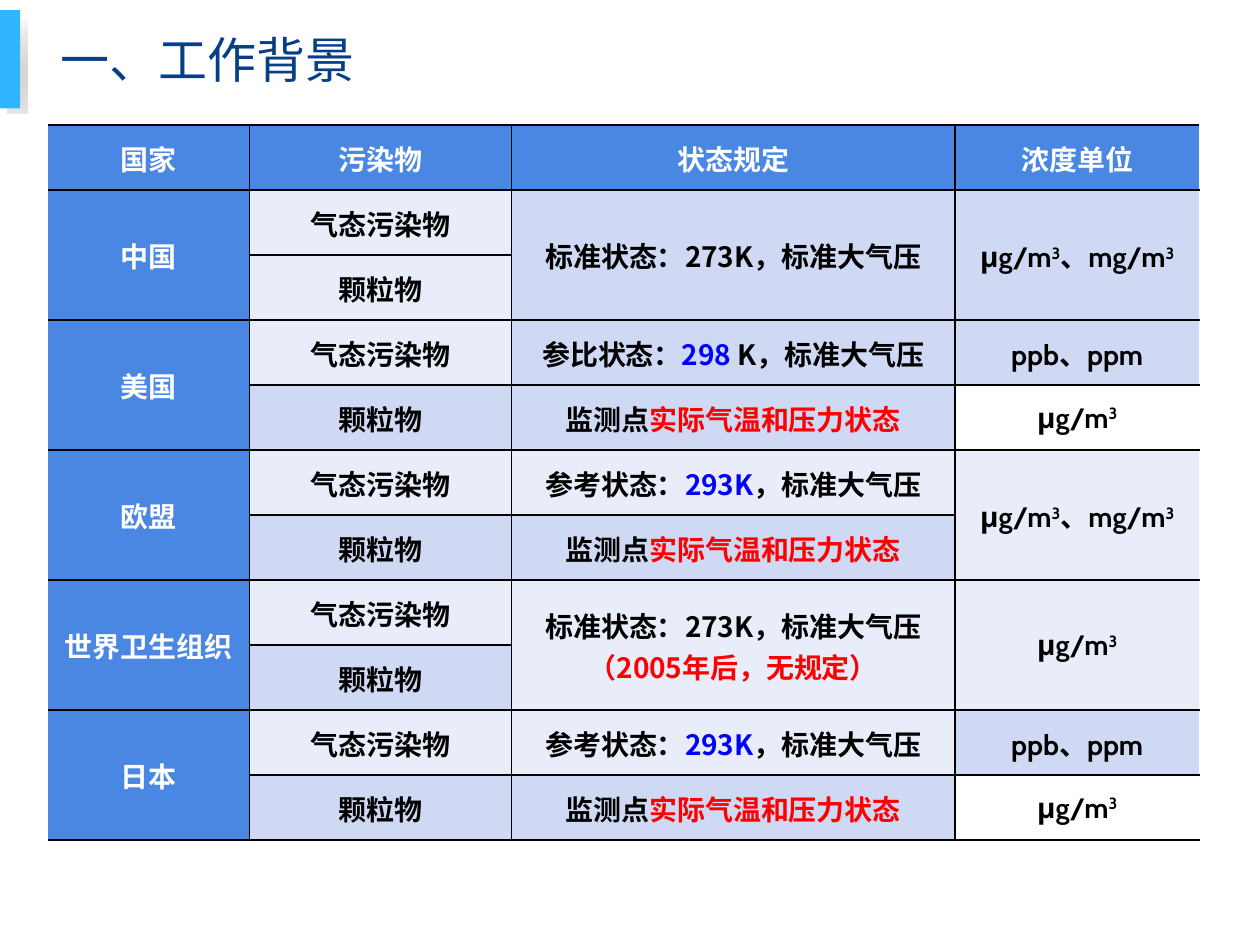
from lxml import etree
from pptx import Presentation
from pptx import util as u
from pptx.dml.color import RGBColor
from pptx.enum import shapes, text
from pptx.oxml.ns import qn

SANS, UNIT = "Noto Sans CJK SC", "Cabin"
HEADER, PALE, DEEP = "4987E3", "E9EDFA", "CFD9F4"
BLACK, WHITE, BLUE, RED = "000000", "FFFFFF", "0000FF", "FF0000"
COLUMNS = (1.6, 2.08, 3.52, 1.94)
ROW_COUNT = 11

MICRO = [[("μg/m", BLACK), ("3", "super")]]
BOTH = [MICRO[0] + [("、mg/m", BLACK), ("3", "super")]]
PARTS = [[("ppb、ppm", BLACK)]]
STANDARD = [("标准状态：273K，标准大气压", BLACK)]
REFERENCE = [[("参考状态：", BLACK), ("293K", BLUE), ("，标准大气压", BLACK)]]
COMPARED = [[("参比状态：", BLACK), ("298 ", BLUE), ("K，标准大气压", BLACK)]]
ACTUAL = [[("监测点", BLACK), ("实际气温和压力状态", RED)]]
REVISED = [STANDARD, [("（2005年后，无规定）", RED)]]

HEADINGS = ("国家", "污染物", "状态规定", "浓度单位")
COUNTRIES = (
    ("中国", PALE, [([STANDARD], DEEP)], [(BOTH, DEEP)]),
    ("美国", DEEP, [(COMPARED, DEEP), (ACTUAL, DEEP)], [(PARTS, DEEP), (MICRO, None)]),
    ("欧盟", DEEP, [(REFERENCE, PALE), (ACTUAL, DEEP)], [(BOTH, PALE)]),
    ("世界卫生组织", DEEP, [(REVISED, PALE)], [(MICRO, PALE)]),
    ("日本", DEEP, [(REFERENCE, PALE), (ACTUAL, DEEP)], [(PARTS, DEEP), (MICRO, None)]),
)


def colour(value):
    return RGBColor.from_string(value)


def apply(target, values):
    for name, value in values.items():
        setattr(target, name, value)


def style_run(run, name, size, shade, bold):
    apply(run.font, {"name": name, "size": u.Pt(size), "bold": bold})
    run.font.color.rgb = colour(shade)
    etree.SubElement(run.font._element, qn("a:ea"), typeface=SANS)


def fill_cell(cell, paragraphs, shade, font):
    apply(cell, {"vertical_anchor": text.MSO_ANCHOR.MIDDLE, "margin_left": u.Inches(0.01),
                 "margin_right": u.Inches(0.01), "margin_top": u.Inches(0.01), "margin_bottom": 0})
    if shade:
        cell.fill.solid()
        cell.fill.fore_color.rgb = colour(shade)
    else:
        cell.fill.background()
    for index, pieces in enumerate(paragraphs):
        frame = cell.text_frame
        para = frame.add_paragraph() if index else frame.paragraphs[0]
        para.alignment = text.PP_ALIGN.CENTER
        for words, look in pieces:
            run = para.add_run()
            run.text = words
            raised = look == "super"
            style_run(run, font, 16, BLACK if raised else look, True)
            if raised:
                run.font._element.set("baseline", "30000")


def draw_borders(cell, edges):
    for index, (side, shade) in enumerate(edges.items()):
        line = etree.Element(qn(f"a:ln{side}"), w=str(u.Pt(1)))
        if shade:
            solid = etree.SubElement(line, qn("a:solidFill"))
            etree.SubElement(solid, qn("a:srgbClr"), val=shade)
        else:
            etree.SubElement(line, qn("a:noFill"))
        cell._tc.get_or_add_tcPr().insert(index, line)


def fill_pair(table, top, column, entries, font):
    if len(entries) == 1:
        table.cell(top, column).merge(table.cell(top + 1, column))
    for offset, (paragraphs, shade) in enumerate(entries):
        fill_cell(table.cell(top + offset, column), paragraphs, shade, font)


def build_table(page, left, top, width, height):
    frame = page.shapes.add_table(ROW_COUNT, len(COLUMNS), left, top, width, height)
    table = frame.table
    apply(table, {"first_row": False, "horz_banding": False})
    for column, share in zip(table.columns, COLUMNS):
        column.width = int(width * share / sum(COLUMNS))
    for row in table.rows:
        row.height = int(height / ROW_COUNT)

    for column, heading in enumerate(HEADINGS):
        fill_cell(table.cell(0, column), [[(heading, WHITE)]], HEADER, SANS)
    for index, (country, particle_shade, states, units) in enumerate(COUNTRIES):
        row = 1 + 2 * index
        pollutants = [([[("气态污染物", BLACK)]], PALE), ([[("颗粒物", BLACK)]], particle_shade)]
        fill_pair(table, row, 0, [([[(country, WHITE)]], HEADER)], SANS)
        fill_pair(table, row, 1, pollutants, SANS)
        fill_pair(table, row, 2, states, SANS)
        fill_pair(table, row, 3, units, UNIT)

    last = len(COLUMNS) - 1
    for row in range(ROW_COUNT):
        for column in range(len(COLUMNS)):
            draw_borders(table.cell(row, column), {
                "L": BLACK if column else None, "R": WHITE if column == last else BLACK,
                "T": BLACK, "B": BLACK})


def build_marker(page, left, top, width, height):
    offsets = (u.Inches(0.06), u.Inches(0.04)), (0, 0)
    shadow, bar = [page.shapes.add_shape(shapes.MSO_SHAPE.RECTANGLE, left + across, top + down,
                                         width, height) for across, down in offsets]
    for shape in (shadow, bar):
        shape.shadow.inherit = False
        shape.line.fill.background()
    bar.fill.solid()
    bar.fill.fore_color.rgb = colour("31B6FD")
    shadow.fill.gradient()
    shadow.fill.gradient_angle = 270
    for stop, shade, position in zip(shadow.fill.gradient_stops, (WHITE, "808080"), (0, 1)):
        stop.color.rgb = colour(shade)
        stop.position = position
    grey = shadow._element.spPr.findall(".//" + qn("a:srgbClr"))[-1]
    etree.SubElement(grey, qn("a:alpha"), val="19000")


def build_title(page, left, top, width, height):
    title = page.shapes.title
    apply(title, {"left": left, "top": top, "width": width, "height": height})
    apply(title.text_frame, {"vertical_anchor": text.MSO_ANCHOR.MIDDLE, "word_wrap": True})
    para = title.text_frame.paragraphs[0]
    para.alignment = text.PP_ALIGN.LEFT
    run = para.add_run()
    run.text = "一、工作背景"
    style_run(run, SANS, 28, "073E87", False)


def main():
    deck = Presentation()
    apply(deck, {"slide_width": u.Inches(10), "slide_height": u.Inches(7.5)})
    page = deck.slides.add_slide(deck.slide_layouts[5])
    margin, band_top, band_height = u.Inches(0.38), u.Inches(0.08), u.Inches(0.78)
    build_marker(page, 0, band_top, u.Inches(0.16), band_height)
    build_table(page, margin, u.Inches(0.99), u.Inches(sum(COLUMNS)), u.Inches(5.68))
    build_title(page, margin, band_top, u.Inches(9), band_height)
    deck.save("out.pptx")


if __name__ == "__main__":
    main()
